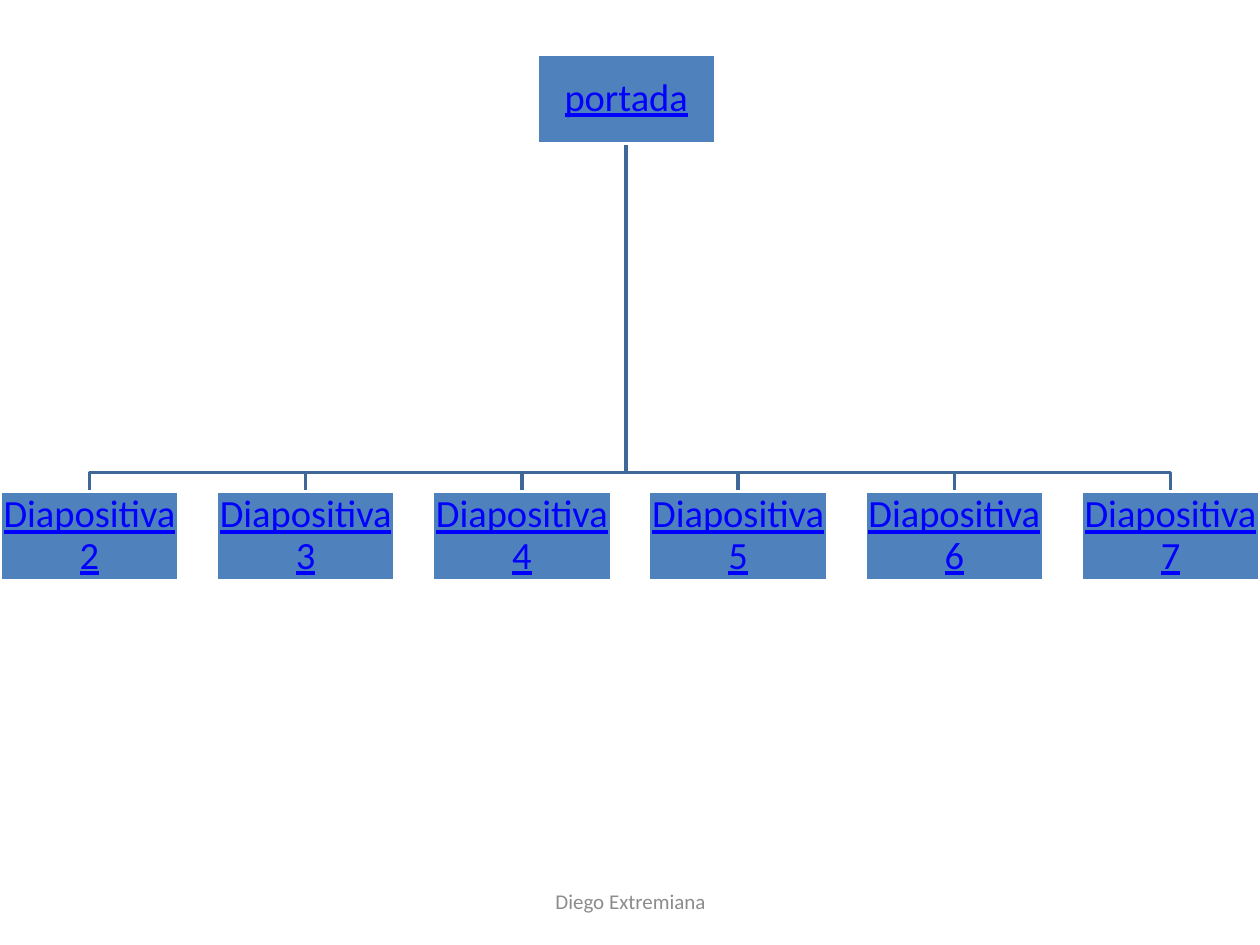
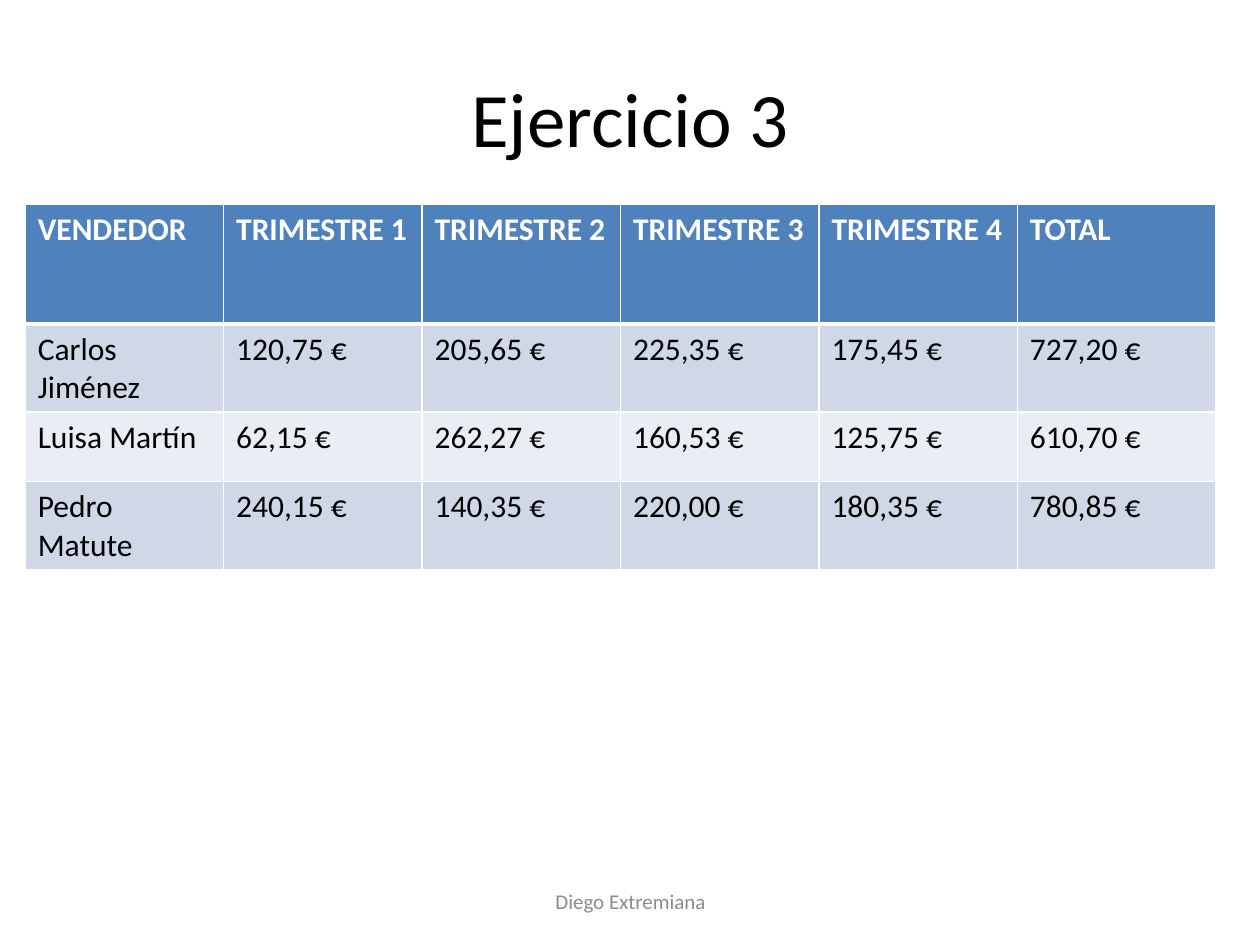
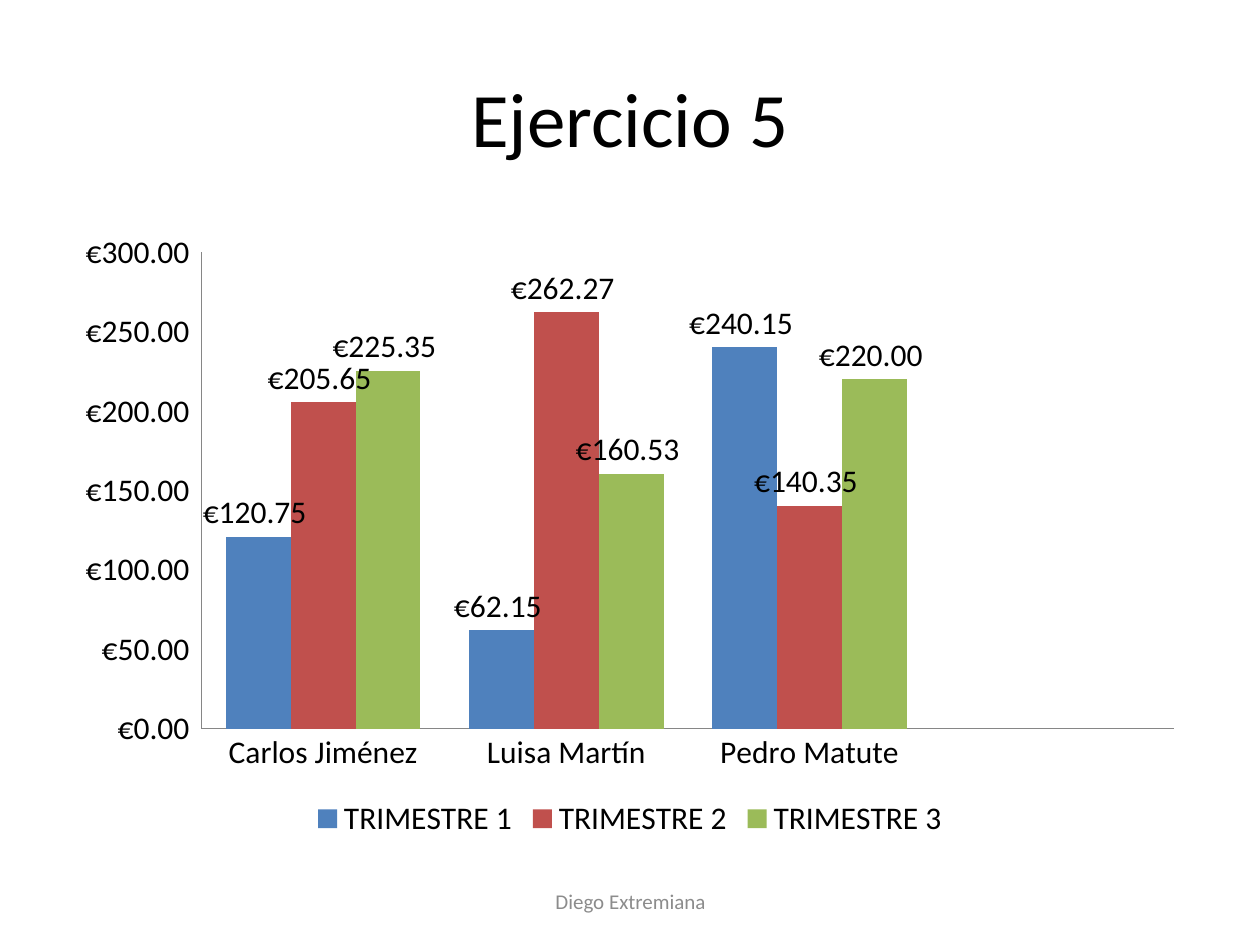
from lxml import etree
from pptx import Presentation
from pptx.chart.data import CategoryChartData
from pptx.dml.color import RGBColor
from pptx.enum.chart import XL_CHART_TYPE as ChartType
from pptx.enum.chart import XL_LABEL_POSITION as LabelPosition
from pptx.enum.chart import XL_LEGEND_POSITION as LegendPosition
from pptx.enum.chart import XL_TICK_MARK as TickMark
from pptx.enum.shapes import MSO_SHAPE as Shape
from pptx.enum.text import MSO_ANCHOR as Anchor
from pptx.enum.text import PP_ALIGN as Align
from pptx.oxml.ns import qn
from pptx.util import Inches, Pt

FONT = "Calibri"
BLACK, WHITE, GREY = "000000", "FFFFFF", "8C8C8C"
BLUE, RED, GREEN = "4F81BD", "C0504D", "9BBB59"
LINK, BRANCH, AXIS = "0000FF", "3F6797", "868686"
BANDS = ["E9EDF4", "D0D8E8"]
EURO_FORMAT = '"€"#,##0.00_);[Red]\\("€"#,##0.00\\)'


def rgb(color):
    return RGBColor.from_string(color)


def write(frame, text, size, color, align=Align.CENTER):
    """Put one styled run in a text frame and return its paragraph."""
    frame.word_wrap = True
    frame.vertical_anchor = Anchor.MIDDLE
    paragraph = frame.paragraphs[0]
    paragraph.alignment = align
    run = paragraph.add_run()
    run.text = text
    run.font.name = FONT
    run.font.size = Pt(size)
    run.font.color.rgb = rgb(color)
    return paragraph


presentation = Presentation()
presentation.slide_width = Inches(10)
presentation.slide_height = Inches(7.5)

# Shared titles and footers
slides = []
for title in ["", "Ejercicio 3", "Ejercicio 5"]:
    slide = presentation.slides.add_slide(presentation.slide_layouts[6])
    if title:
        box = slide.shapes.add_textbox(Inches(0.5), Inches(0.3), Inches(9), Inches(1.25))
        write(box.text_frame, title, 44, BLACK)
    footer = slide.shapes.add_textbox(Inches(3.42), Inches(6.95), Inches(3.17), Inches(0.4))
    write(footer.text_frame, "Diego Extremiana", 12, GREY)
    slides.append(slide)
menu_slide, table_slide, chart_slide = slides

# Menu tree
node_width, node_height = 1.42, 0.71
root_left, root_top = 4.26, 0.43
child_top, branch_y = 3.9, 3.75
child_count = 6
pitch = (10 - node_width) / (child_count - 1)
nodes = [("portada", root_left, root_top)]
nodes += [(f"Diapositiva {i + 2}", i * pitch, child_top) for i in range(child_count)]

root_x = Inches(root_left + node_width / 2)
for name, left, top in nodes[1:]:
    child_x = Inches(left + node_width / 2)
    builder = menu_slide.shapes.build_freeform(root_x, Inches(root_top + node_height))
    builder.add_line_segments(
        [(root_x, Inches(branch_y)), (child_x, Inches(branch_y)), (child_x, Inches(child_top))],
        close=False)
    branch = builder.convert_to_shape()
    branch.shadow.inherit = False
    branch.fill.background()
    branch.line.color.rgb = rgb(BRANCH)
    branch.line.width = Pt(2)

for name, left, top in nodes:
    node = menu_slide.shapes.add_shape(
        Shape.RECTANGLE, Inches(left), Inches(top), Inches(node_width), Inches(node_height))
    node.shadow.inherit = False
    node.fill.solid()
    node.fill.fore_color.rgb = rgb(BLUE)
    node.line.color.rgb = rgb(WHITE)
    node.line.width = Pt(2)
    frame = node.text_frame
    frame.margin_left = frame.margin_right = Inches(0.02)
    frame.margin_top = frame.margin_bottom = Inches(0.02)
    paragraph = write(frame, name, 22, LINK)
    paragraph.line_spacing = 0.9
    paragraph.runs[0].font.underline = True

# Sales table
sales = [
    ["VENDEDOR", "TRIMESTRE 1", "TRIMESTRE 2", "TRIMESTRE 3", "TRIMESTRE 4", "TOTAL"],
    ["Carlos Jiménez", "120,75 €", "205,65 €", "225,35 €", "175,45 €", "727,20 €"],
    ["Luisa Martín", "62,15 €", "262,27 €", "160,53 €", "125,75 €", "610,70 €"],
    ["Pedro Matute", "240,15 €", "140,35 €", "220,00 €", "180,35 €", "780,85 €"],
]
row_heights = [0.95, 0.55, 0.55, 0.55]
table = table_slide.shapes.add_table(
    len(sales), len(sales[0]), Inches(0.2), Inches(1.62),
    Inches(9.45), Inches(sum(row_heights))).table
for row, height in zip(table.rows, row_heights):
    row.height = Inches(height)

for r, values in enumerate(sales):
    header = r == 0
    for c, value in enumerate(values):
        cell = table.cell(r, c)
        paragraph = write(cell.text_frame, value, 18, WHITE if header else BLACK, Align.LEFT)
        paragraph.runs[0].font.bold = header
        cell.vertical_anchor = Anchor.TOP
        properties = cell._tc.get_or_add_tcPr()
        for side in ["lnL", "lnR", "lnT", "lnB"]:
            thick = (header and side == "lnB") or (r == 1 and side == "lnT")
            border = etree.SubElement(properties, qn(f"a:{side}"), w=str(Pt(3 if thick else 1)))
            border_fill = etree.SubElement(border, qn("a:solidFill"))
            etree.SubElement(border_fill, qn("a:srgbClr"), val=WHITE)
        cell.fill.solid()
        cell.fill.fore_color.rgb = rgb(BLUE if header else BANDS[r % 2])

# Sales chart, with a free place after the last seller
chart_data = CategoryChartData(number_format=EURO_FORMAT)
chart_data.categories = ["Carlos Jiménez", "Luisa Martín", "Pedro Matute", ""]
chart_data.add_series("TRIMESTRE 1", [120.75, 62.15, 240.15, None])
chart_data.add_series("TRIMESTRE 2", [205.65, 262.27, 140.35, None])
chart_data.add_series("TRIMESTRE 3", [225.35, 160.53, 220, None])
chart = chart_slide.shapes.add_chart(
    ChartType.COLUMN_CLUSTERED, Inches(0.5), Inches(1.75), Inches(9), Inches(4.95),
    chart_data).chart
chart.has_title = False
chart.font.name = FONT
chart.font.size = Pt(18)
chart.font.color.rgb = rgb(BLACK)
chart.has_legend = True
chart.legend.position = LegendPosition.BOTTOM
chart.legend.include_in_layout = False

for axis in [chart.category_axis, chart.value_axis]:
    axis.major_tick_mark = axis.minor_tick_mark = TickMark.NONE
    axis.has_major_gridlines = False
    axis.format.line.color.rgb = rgb(AXIS)
    axis.format.line.width = Pt(0.75)
value_axis = chart.value_axis
value_axis.minimum_scale, value_axis.maximum_scale, value_axis.major_unit = 0, 300, 50
value_axis.tick_labels.number_format = EURO_FORMAT
value_axis.tick_labels.number_format_is_linked = False

plot = chart.plots[0]
plot.gap_width = 75
plot.overlap = 0
plot.vary_by_categories = False
for series, color in zip(plot.series, [BLUE, RED, GREEN]):
    series.format.fill.solid()
    series.format.fill.fore_color.rgb = rgb(color)
    labels = series.data_labels
    labels.show_value = True
    labels.position = LabelPosition.OUTSIDE_END
    labels.number_format = EURO_FORMAT
    labels.number_format_is_linked = False

presentation.save("out.pptx")
